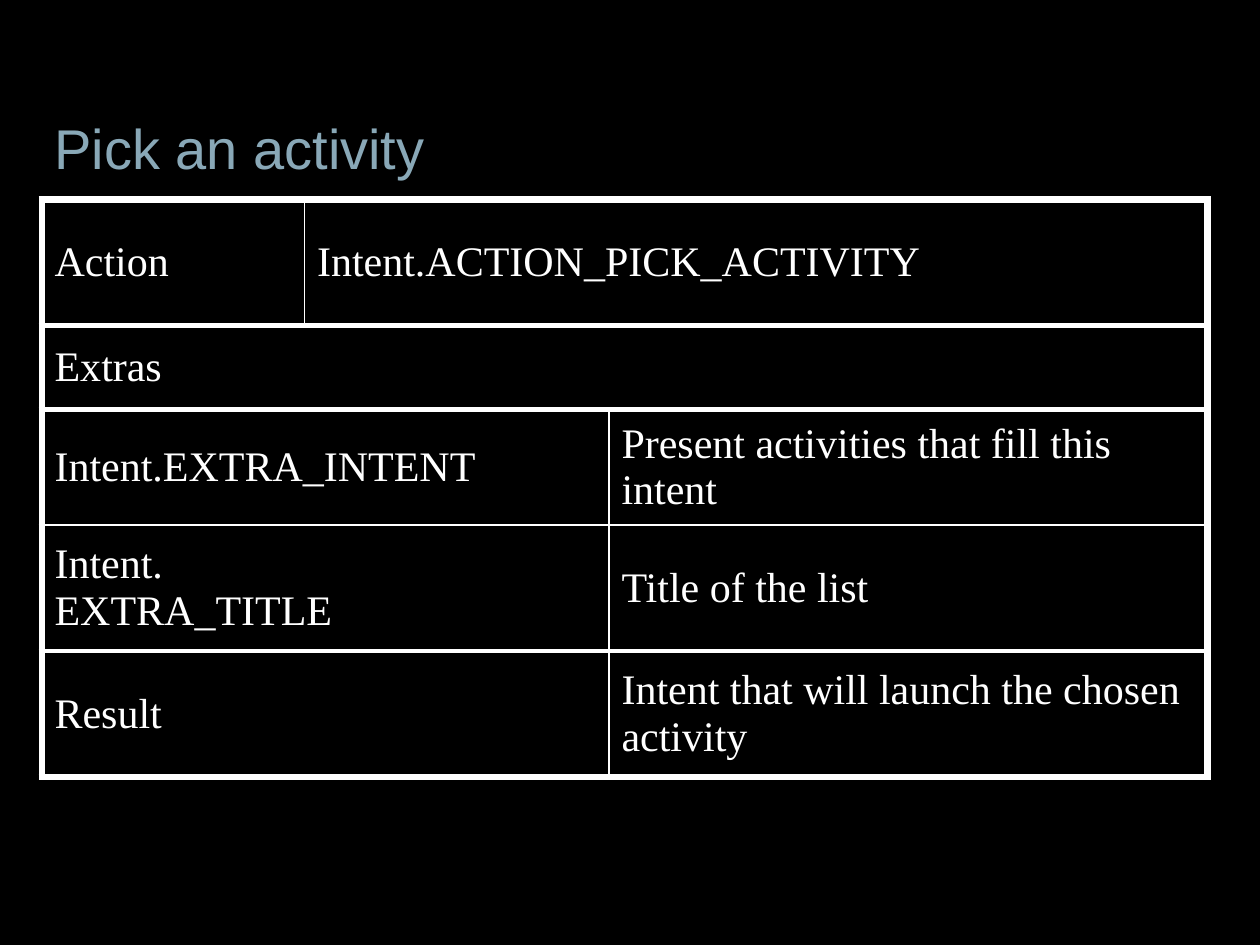
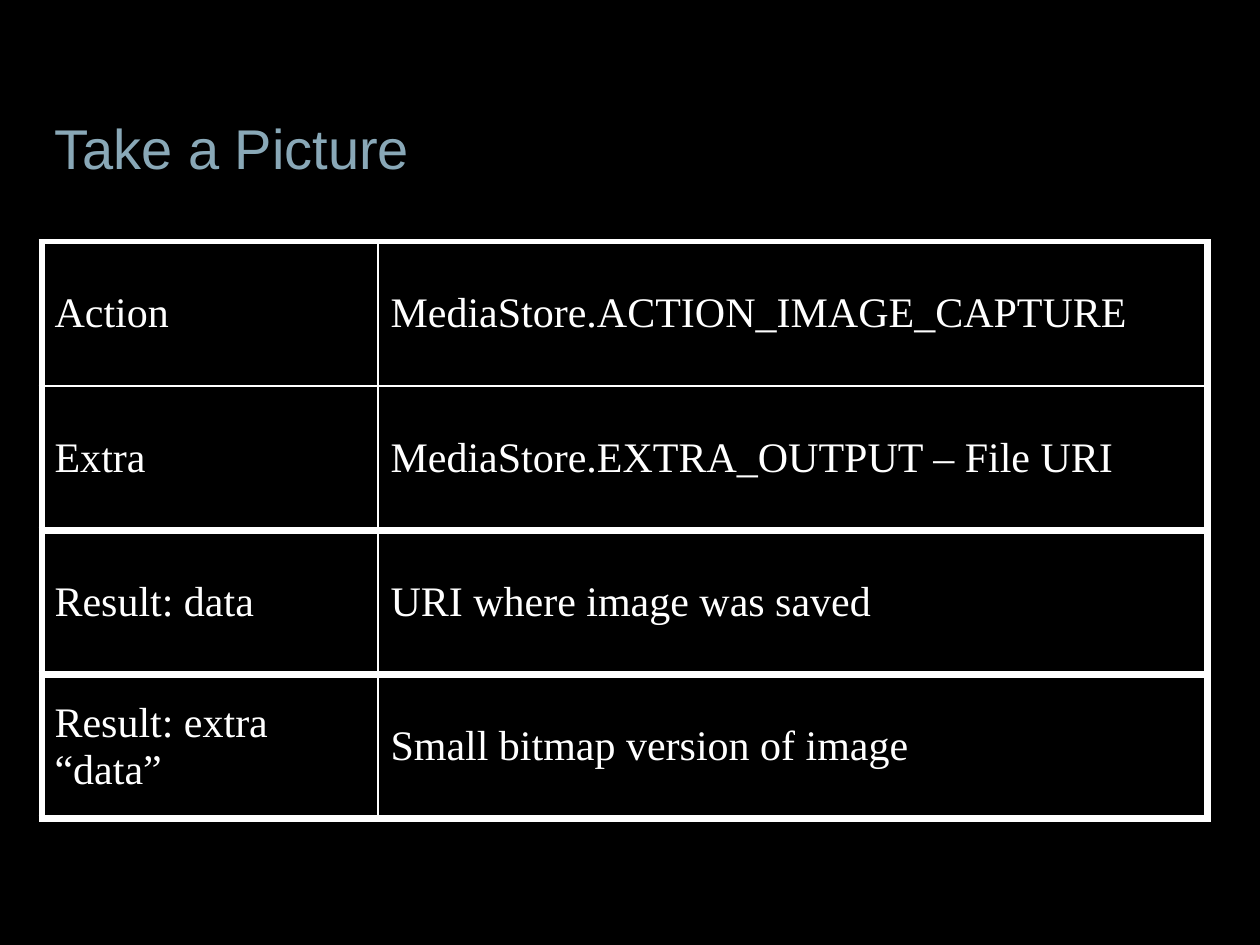
from dataclasses import dataclass

from lxml import etree
from pptx import Presentation
from pptx.dml.color import RGBColor
from pptx.enum.text import MSO_ANCHOR, PP_ALIGN
from pptx.oxml.ns import qn
from pptx.util import Inches, Pt

MIDDLE = MSO_ANCHOR.MIDDLE
LEFT = PP_ALIGN.LEFT
BLANK_LAYOUT = 6
GRID_COLUMNS, GRID_ROWS = 120, 90


@dataclass(frozen=True)
class Theme:
    background: str = "000000"
    title_color: str = "89A8B7"
    body_color: str = "FFFFFF"
    title_font: str = "Arial"
    body_font: str = "Times New Roman"
    title_size: float = 32
    body_size: float = 24
    thin: float = 1
    medium: float = 3
    thick: float = 4.5


THEME = Theme()


def write_text(frame, text, *, font, size, color):
    frame.word_wrap = True
    for index, line in enumerate(text.split("\n")):
        paragraph = frame.paragraphs[0] if index == 0 else frame.add_paragraph()
        paragraph.alignment = LEFT
        run = paragraph.add_run()
        run.text = line
        run.font.name = font
        run.font.size = Pt(size)
        run.font.color.rgb = RGBColor.from_string(color)


def draw_borders(cell, widths, color):
    properties = cell._tc.get_or_add_tcPr()
    for side in "LRTB":
        if side in widths:
            line = etree.SubElement(properties, qn(f"a:ln{side}"), w=str(Pt(widths[side])))
            fill = etree.SubElement(line, qn("a:solidFill"))
            etree.SubElement(fill, qn("a:srgbClr"), val=color)


class Deck:
    def __init__(self, theme):
        self.theme = theme
        self.presentation = Presentation()
        self.presentation.slide_width = Inches(10)
        self.presentation.slide_height = Inches(7.5)
        self.slide = None

    def across(self, columns):
        return round(self.presentation.slide_width * columns / GRID_COLUMNS)

    def down(self, rows):
        return round(self.presentation.slide_height * rows / GRID_ROWS)

    def box(self, left, top, width, height):
        return self.across(left), self.down(top), self.across(width), self.down(height)

    def add_slide(self, title):
        layout = self.presentation.slide_layouts[BLANK_LAYOUT]
        self.slide = self.presentation.slides.add_slide(layout)
        fill = self.slide.background.fill
        fill.solid()
        fill.fore_color.rgb = RGBColor.from_string(self.theme.background)
        self.add_title(title)

    def add_title(self, title):
        frame = self.slide.shapes.add_textbox(*self.box(4, 11, 102, 6)).text_frame
        frame.vertical_anchor = MIDDLE
        write_text(frame, title, font=self.theme.title_font,
                   size=self.theme.title_size, color=self.theme.title_color)

    def add_table(self, top, columns, rows, rules, content):
        position = self.box(4, top, sum(columns), sum(rows))
        table = self.slide.shapes.add_table(len(rows), len(columns), *position).table
        table.first_row = table.horz_banding = False
        for column, width in zip(table.columns, columns):
            column.width = self.across(width)
        for row, height in zip(table.rows, rows):
            row.height = self.down(height)
        for row_index, entries in enumerate(content):
            start = 0
            for text, span in entries:
                self.add_cell(table, row_index, start, span, text, rules)
                start += span

    def add_cell(self, table, row, start, span, text, rules):
        end = start + span - 1
        left = self.theme.thick if start == 0 else self.theme.thin
        right = self.theme.thick if end == len(table.columns) - 1 else self.theme.thin
        for column in range(start, end + 1):
            cell = table.cell(row, column)
            widths = {"T": rules[row], "B": rules[row + 1]}
            if column == start:
                widths["L"] = left
            if column in (start, end):
                widths["R"] = right
            draw_borders(cell, widths, self.theme.body_color)
            cell.fill.background()
        origin = table.cell(row, start)
        if span > 1:
            origin.merge(table.cell(row, end))
        origin.vertical_anchor = MIDDLE
        write_text(origin.text_frame, text, font=self.theme.body_font,
                   size=self.theme.body_size, color=self.theme.body_color)


def add_pick_activity(deck):
    thin, medium, thick = deck.theme.thin, deck.theme.medium, deck.theme.thick
    deck.add_slide("Pick an activity")
    deck.add_table(
        top=19,
        columns=[25, 29, 57],
        rows=[12, 8, 11, 12, 12],
        rules=[thick, medium, medium, thin, medium, thick],
        content=[
            [("Action", 1), ("Intent.ACTION_PICK_ACTIVITY", 2)],
            [("Extras", 3)],
            [("Intent.EXTRA_INTENT", 2), ("Present activities that fill this intent", 1)],
            [("Intent.\nEXTRA_TITLE", 2), ("Title of the list", 1)],
            [("Result", 2), ("Intent that will launch the chosen activity", 1)],
        ],
    )


def add_take_picture(deck):
    thin, medium, thick = deck.theme.thin, deck.theme.medium, deck.theme.thick
    deck.add_slide("Take a Picture")
    deck.add_table(
        top=23,
        columns=[32, 79],
        rows=[55 / 4] * 4,
        rules=[medium, thin, thick, thick, thick],
        content=[
            [("Action", 1), ("MediaStore.ACTION_IMAGE_CAPTURE", 1)],
            [("Extra", 1), ("MediaStore.EXTRA_OUTPUT – File URI", 1)],
            [("Result: data", 1), ("URI where image was saved", 1)],
            [("Result: extra “data”", 1), ("Small bitmap version of image", 1)],
        ],
    )


def main():
    deck = Deck(THEME)
    add_pick_activity(deck)
    add_take_picture(deck)
    deck.presentation.save("out.pptx")


if __name__ == "__main__":
    main()
